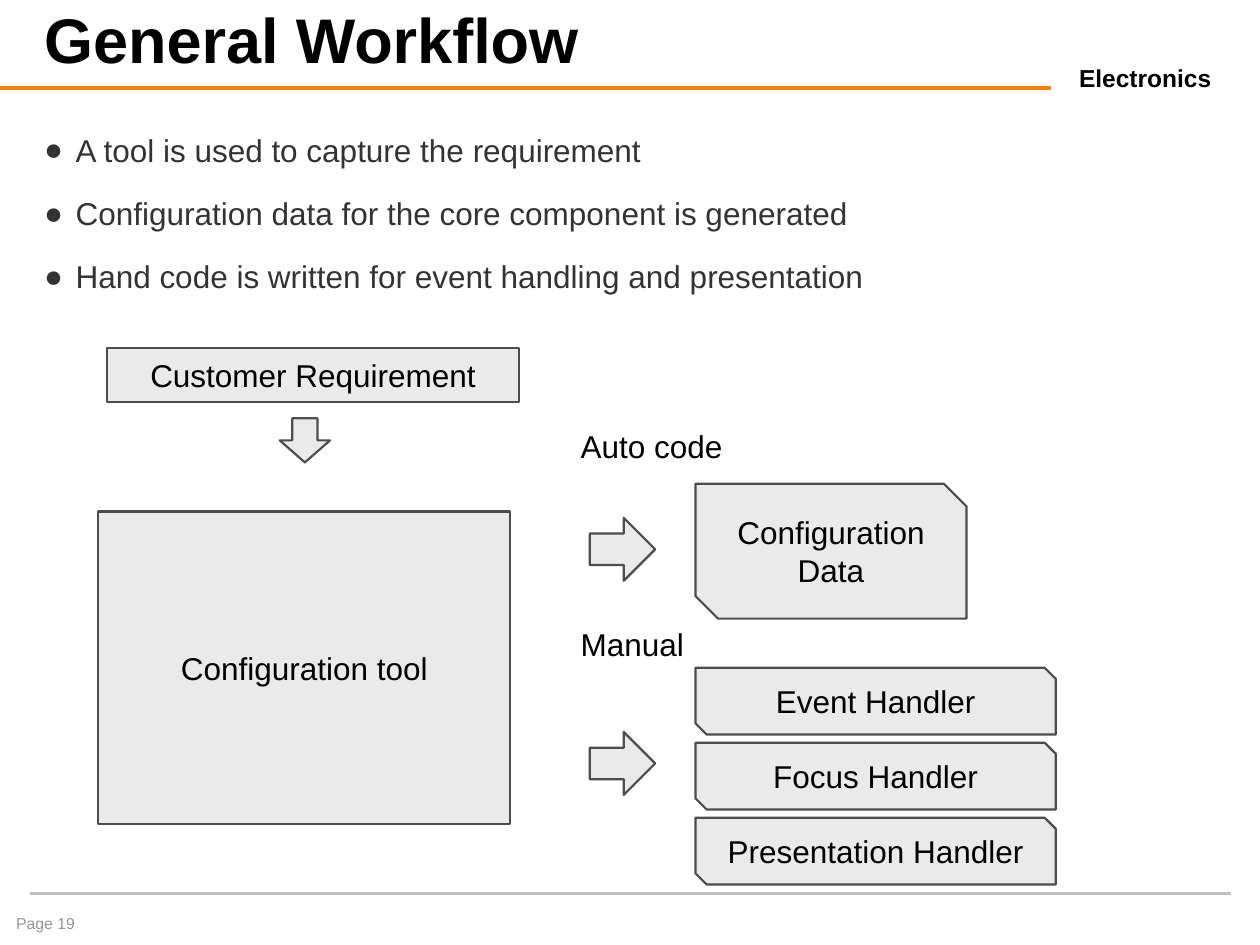
"""Build the General Workflow slide: a requirement feeding a tool, generated data and hand code."""
from dataclasses import dataclass
from typing import Optional

from lxml import etree
from pptx import Presentation
from pptx.dml.color import RGBColor
from pptx.enum.shapes import MSO_CONNECTOR, MSO_SHAPE
from pptx.enum.text import MSO_ANCHOR, MSO_AUTO_SIZE, PP_ALIGN
from pptx.oxml.ns import qn
from pptx.util import Inches, Pt

RECT = MSO_SHAPE.RECTANGLE
SNIPPED = MSO_SHAPE.SNIP_2_DIAG_RECTANGLE
DOWN, RIGHT = MSO_SHAPE.DOWN_ARROW, MSO_SHAPE.RIGHT_ARROW
STRAIGHT = MSO_CONNECTOR.STRAIGHT
LEFT, CENTER = PP_ALIGN.LEFT, PP_ALIGN.CENTER
TOP, MIDDLE, BOTTOM = MSO_ANCHOR.TOP, MSO_ANCHOR.MIDDLE, MSO_ANCHOR.BOTTOM
NO_FIT, GROW = MSO_AUTO_SIZE.NONE, MSO_AUTO_SIZE.SHAPE_TO_FIT_TEXT
COLUMNS, ROWS = 100, 75
CELL = Inches(0.1)
TITLE_ONLY = 5


@dataclass(frozen=True)
class Theme:
    font: str = "Arial"
    ink: str = "000000"
    body: str = "333333"
    muted: str = "969696"
    accent: str = "FF7D00"
    rule: str = "C0C0C0"
    fill: str = "EAEAEA"
    outline: str = "4D4D4D"
    title_size: float = 36
    text_size: float = 18
    division_size: float = 14
    page_size: float = 9
    outline_width: float = 1.25


THEME = Theme()


@dataclass(frozen=True)
class Area:
    column: float
    row: float
    columns: float
    rows: float


@dataclass(frozen=True)
class Step:
    kind: MSO_SHAPE
    area: Area
    label: str = ""


@dataclass(frozen=True)
class Label:
    text: str
    area: Area
    size: float = THEME.text_size
    color: str = THEME.ink
    bold: bool = False
    align: PP_ALIGN = LEFT
    grows: bool = True


@dataclass(frozen=True)
class Rule:
    start: float
    end: float
    row: float
    color: str
    width: float


def cells(count: float) -> int:
    return round(count * CELL)


def bounds(area: Area) -> tuple:
    return tuple(cells(n) for n in (area.column, area.row, area.columns, area.rows))


def apply(target, formats: dict) -> None:
    for name, value in formats.items():
        setattr(target, name, value)


def set_font(font, size: float, color: str, bold: bool = False) -> None:
    apply(font, {"name": THEME.font, "size": Pt(size), "bold": bold})
    font.color.rgb = RGBColor.from_string(color)


def remove_insets(frame) -> None:
    apply(frame, dict.fromkeys(("margin_left", "margin_top", "margin_right", "margin_bottom"), 0))


def draw_rule(slide, rule: Rule) -> None:
    row = cells(rule.row)
    line = slide.shapes.add_connector(STRAIGHT, cells(rule.start), row, cells(rule.end), row)
    line.line.color.rgb = RGBColor.from_string(rule.color)
    line.line.width = Pt(rule.width)
    etree.SubElement(line._element.spPr, qn("a:effectLst"))


def draw_title(slide, text: str, area: Area) -> None:
    title = slide.shapes.title
    apply(title, dict(zip(("left", "top", "width", "height"), bounds(area))))
    frame = title.text_frame
    remove_insets(frame)
    apply(frame, {"text": text, "vertical_anchor": BOTTOM, "auto_size": NO_FIT, "word_wrap": True})
    heading = frame.paragraphs[0]
    apply(heading, {"alignment": LEFT, "line_spacing": 0.8, "space_before": Pt(0)})
    set_font(heading.font, THEME.title_size, THEME.ink, True)


def draw_bullets(slide, points: list[str], area: Area, gap: float) -> None:
    frame = slide.shapes.add_textbox(*bounds(area)).text_frame
    remove_insets(frame)
    frame.word_wrap = True
    for index, text in enumerate(points):
        point = frame.add_paragraph() if index else frame.paragraphs[0]
        point.text = text
        properties = point._p.get_or_add_pPr()
        properties.set("marL", str(cells(2.5)))
        properties.set("indent", str(cells(-2.5)))
        bullet_color = etree.SubElement(properties, qn("a:buClr"))
        etree.SubElement(bullet_color, qn("a:srgbClr"), val=THEME.body)
        etree.SubElement(properties, qn("a:buFont"), typeface=THEME.font)
        etree.SubElement(properties, qn("a:buChar"), char="●")
        point.space_before = Pt(gap if index else 0)
        set_font(point.font, THEME.text_size, THEME.body)


def draw_label(slide, label: Label) -> None:
    frame = slide.shapes.add_textbox(*bounds(label.area)).text_frame
    apply(frame, {"text": label.text, "word_wrap": not label.grows,
                  "auto_size": GROW if label.grows else NO_FIT, "vertical_anchor": TOP})
    frame.paragraphs[0].alignment = label.align
    set_font(frame.paragraphs[0].font, label.size, label.color, label.bold)


def draw_step(slide, step: Step) -> None:
    shape = slide.shapes.add_shape(step.kind, *bounds(step.area))
    shape.shadow.inherit = False
    shape.fill.solid()
    shape.fill.fore_color.rgb = RGBColor.from_string(THEME.fill)
    shape.line.color.rgb = RGBColor.from_string(THEME.outline)
    shape.line.width = Pt(THEME.outline_width)
    if step.label:
        frame: Optional[object] = shape.text_frame
        apply(frame, {"text": step.label, "vertical_anchor": MIDDLE, "word_wrap": True})
        frame.paragraphs[0].alignment = CENTER
        set_font(frame.paragraphs[0].font, THEME.text_size, THEME.ink)


def main() -> None:
    deck = Presentation()
    apply(deck, {"slide_width": COLUMNS * CELL, "slide_height": ROWS * CELL})
    slide = deck.slides.add_slide(deck.slide_layouts[TITLE_ONLY])

    rules = [Rule(-0.2, 83.4, 7, THEME.accent, 2.25), Rule(2.4, 97.7, 70.9, THEME.rule, 1.5)]
    labels = [
        Label("Electronics", Area(84.6, 4.5, 12.6, 3.4), THEME.division_size,
              bold=True, align=CENTER),
        Label("Page 19", Area(0.3, 72, 12, 3), THEME.page_size, THEME.muted, grows=False),
        Label("Auto code", Area(45.1, 33.4, 13.4, 4)),
        Label("Manual", Area(45.1, 49.1, 10.3, 4)),
    ]
    handlers = ["Event Handler", "Focus Handler", "Presentation Handler"]
    steps = [
        Step(RECT, Area(8.5, 27.6, 32.7, 4.3), "Customer Requirement"),
        Step(DOWN, Area(22.2, 33.2, 4, 3.5)),
        Step(RECT, Area(7.8, 40.6, 32.7, 24.8), "Configuration tool"),
        *(Step(RIGHT, Area(46.8, row, 5.2, 5)) for row in (41.1, 58.1)),
        Step(SNIPPED, Area(55.2, 38.4, 21.5, 10.7), "Configuration Data"),
        *(Step(SNIPPED, Area(55.2, 53 + 5.95 * index, 28.6, 5.3), handler)
          for index, handler in enumerate(handlers)),
    ]

    for rule in rules:
        draw_rule(slide, rule)
    draw_title(slide, "General Workflow", Area(3.5, 1.3, 82, 4.7))
    draw_bullets(slide, [
        "A tool is used to capture the requirement",
        "Configuration data for the core component is generated",
        "Hand code is written for event handling and presentation",
    ], Area(3.5, 10.4, 93, 57.7), gap=14.5)
    for label in labels:
        draw_label(slide, label)
    for step in steps:
        draw_step(slide, step)
    deck.save("out.pptx")


if __name__ == "__main__":
    main()
